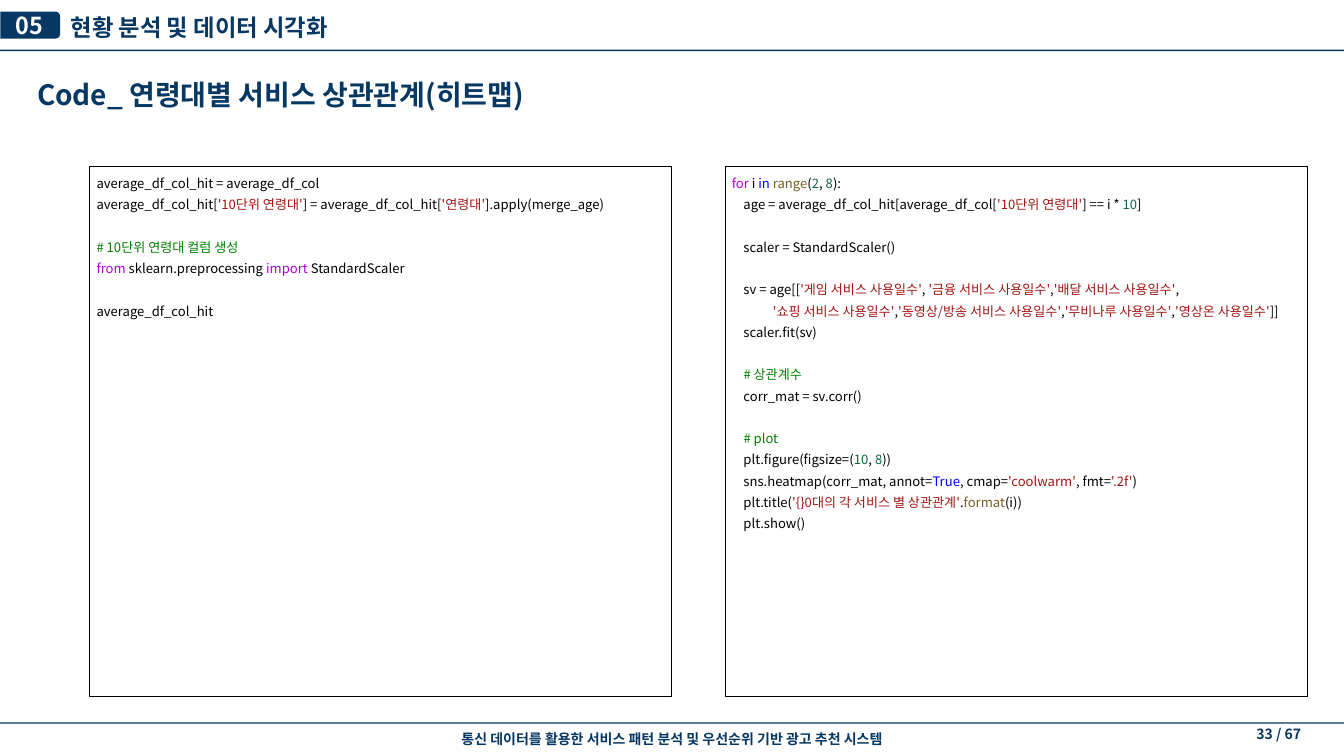
from dataclasses import dataclass
from typing import NamedTuple

from lxml.etree import SubElement
from pptx import Presentation
from pptx.dml.color import RGBColor as Rgb
from pptx.enum.shapes import MSO_SHAPE as Shape
from pptx.enum.text import MSO_ANCHOR as Anchor, PP_ALIGN as Align
from pptx.oxml.ns import qn
from pptx.util import Cm, Pt


@dataclass(frozen=True)
class Theme:
    font: str = "Noto Sans CJK KR"
    navy: str = "073763"
    white: str = "FFFFFF"
    black: str = "000000"
    # Code colours
    flow: str = "AF00DB"
    word: str = "0000FF"
    call: str = "795E26"
    num: str = "116644"
    quote: str = "A31515"
    note: str = "008000"
    # Type sizes and the height of one code line, in points
    title: int = 30
    head: int = 25
    foot: int = 15
    code: int = 14
    gap: float = 22.6


class Box(NamedTuple):
    left: float
    top: float
    width: float
    height: float


class Run(NamedTuple):
    text: str
    color: str


@dataclass(frozen=True)
class Line:
    runs: tuple
    gap: bool = False


T = Theme()


def row(*runs, gap: bool = False) -> Line:
    return Line(runs, gap)


def quote(text: str) -> Run:
    return Run(f"'{text}'", T.quote)


def num(text: str) -> Run:
    return Run(text, T.num)


def note(text: str) -> Run:
    return Run(f"# {text}", T.note)


def write(frame, lines, *, size, color=T.navy, bold=False, align=Align.LEFT,
          spacing=None, anchor=Anchor.TOP, inset=True) -> None:
    """Fill a text frame; each line is a string or a Line of runs."""
    frame.word_wrap = True
    frame.vertical_anchor = anchor
    if not inset:
        frame.margin_left = frame.margin_right = 0
        frame.margin_top = frame.margin_bottom = 0
    for i, line in enumerate(lines):
        line = line if isinstance(line, Line) else row(line)
        para = frame.paragraphs[0] if i == 0 else frame.add_paragraph()
        para.alignment = align
        if spacing:
            para.line_spacing = spacing
        if line.gap:
            para.space_before = Pt(T.gap)
        for part in line.runs:
            text, tint = part if isinstance(part, Run) else (part, color)
            run = para.add_run()
            run.text = text
            font = run.font
            font.name, font.size, font.bold = T.font, Pt(size), bold
            font.color.rgb = Rgb.from_string(tint)
            SubElement(run._r.get_or_add_rPr(), qn("a:ea"), typeface=T.font)


def shape(slide, kind, box: Box, fill=None, line=None):
    item = slide.shapes.add_shape(kind, *map(Cm, box))
    item.shadow.inherit = False
    if fill:
        item.fill.solid()
        item.fill.fore_color.rgb = Rgb.from_string(fill)
    else:
        item.fill.background()
    if line:
        item.line.color.rgb = Rgb.from_string(line)
        item.line.width = Pt(1)
    else:
        item.line.fill.background()
    return item


def label(slide, box: Box, text: str, **form) -> None:
    item = slide.shapes.add_textbox(*map(Cm, box))
    write(item.text_frame, [text], bold=True, **form)


def rule(slide, top: float) -> None:
    shape(slide, Shape.RECTANGLE, Box(0, top, 50.8, 0.05), fill=T.navy)


def panel(slide, left: float, lines: list) -> None:
    item = shape(slide, Shape.RECTANGLE, Box(left, 6.3, 22, 20.02), line=T.black)
    write(item.text_frame, lines, size=T.code, color=T.black, spacing=1.36)


def badge(slide, text: str) -> None:
    item = shape(slide, Shape.ROUND_2_SAME_RECTANGLE,
                 Box(0.63, -0.18, 1.02, 2.26), fill=T.navy)
    item.rotation = 90
    frame = item.text_frame
    write(frame, [text], size=T.head, color=T.white, bold=True,
          align=Align.CENTER, anchor=Anchor.MIDDLE)
    frame._txBody.bodyPr.set("vert", "vert270")  # keeps the number upright


MERGE = [
    row("average_df_col_hit = average_df_col"),
    row("average_df_col_hit[", quote("10단위 연령대"), "] = average_df_col_hit[",
        quote("연령대"), "].apply(merge_age)"),
    row(note("10단위 연령대 컬럼 생성"), gap=True),
    row(Run("from ", T.flow), "sklearn.preprocessing ", Run("import ", T.flow),
        "StandardScaler"),
    row("average_df_col_hit", gap=True),
]

PLOT = [
    row(Run("for ", T.flow), "i ", Run("in ", T.word), Run("range", T.call),
        "(", num("2"), ", ", num("8"), "):"),
    row("    age = average_df_col_hit[average_df_col[", quote("10단위 연령대"),
        "] == i * ", num("10"), "]"),
    row("    scaler = StandardScaler()", gap=True),
    row("    sv = age[[", quote("게임 서비스 사용일수"), ", ",
        quote("금융 서비스 사용일수"), ",", quote("배달 서비스 사용일수"), ",", gap=True),
    row("              ", quote("쇼핑 서비스 사용일수"), ",",
        quote("동영상/방송 서비스 사용일수"), ",", quote("무비나루 사용일수"), ",",
        quote("영상온 사용일수"), "]]"),
    row("    scaler.fit(sv)"),
    row("    ", note("상관계수"), gap=True),
    row("    corr_mat = sv.corr()"),
    row("    ", note("plot"), gap=True),
    row("    plt.figure(figsize=(", num("10"), ", ", num("8"), "))"),
    row("    sns.heatmap(corr_mat, annot=", Run("True", T.word), ", cmap=",
        quote("coolwarm"), ", fmt=", quote(".2f"), ")"),
    row("    plt.title(", quote("{}0대의 각 서비스 별 상관관계"), ".",
        Run("format", T.call), "(i))"),
    row("    plt.show()"),
]


def main() -> None:
    deck = Presentation()
    deck.slide_width, deck.slide_height = Cm(50.8), Cm(28.58)
    slide = deck.slides.add_slide(deck.slide_layouts[6])

    # Footer
    rule(slide, 27.31)
    label(slide, Box(12.73, 27.31, 25.35, 0.99),
          "통신 데이터를 활용한 서비스 패턴 분석 및 우선순위 기반 광고 추천 시스템",
          size=T.foot, align=Align.CENTER, spacing=1.26)
    label(slide, Box(24.08, 27.31, 25.35, 0.89), "33 / 67",
          size=T.foot, align=Align.RIGHT)

    # Title and code panels
    label(slide, Box(1.4, 2.69, 21.21, 1.55), "Code_ 연령대별 서비스 상관관계(히트맵)",
          size=T.title, spacing=1.2, inset=False)
    panel(slide, 3.4, MERGE)
    panel(slide, 27.41, PLOT)

    # Section header
    rule(slide, 1.88)
    label(slide, Box(2.67, 0.3, 15.44, 1.27), "현황 분석 및 데이터 시각화",
          size=T.head, spacing=1.2, inset=False)
    badge(slide, "05")

    deck.save("out.pptx")


if __name__ == "__main__":
    main()
